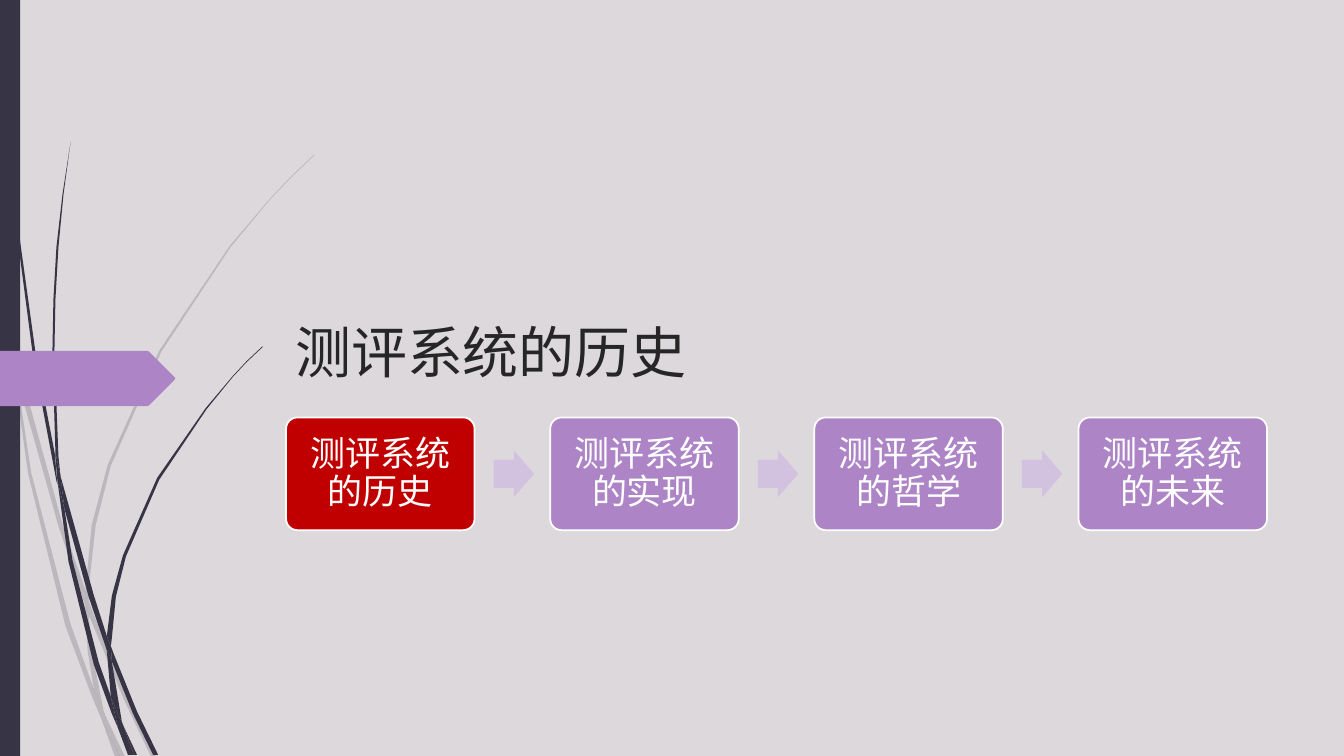
import pptx
import pptx.dml.color
import pptx.enum.lang
import pptx.enum.shapes
import pptx.enum.text
import pptx.oxml
import pptx.oxml.ns
import pptx.util

Cm, Pt = pptx.util.Cm, pptx.util.Pt
SHAPE = pptx.enum.shapes.MSO_SHAPE
ANCHOR = pptx.enum.text.MSO_ANCHOR
ALIGN = pptx.enum.text.PP_ALIGN
FONT = "TeX Gyre Adventor"
DARK, PURPLE, PALE, RED, WHITE = "373545", "AD84C6", "D3C2DF", "C00000", "FFFFFF"
CM_PER_INCH = 2.54

# Corner points of each outline, in inches
PALE_STRANDS = [
    "0.11,3.5 0.09,3.22 0,2.82 0,2.99 0.1,3.44",
    "0.58,5.22 0.84,5.99 0.85,5.86 0.62,5.2 0.14,3.45 0.17,3.76",
    "0.92,6.07 0.88,5.96 0.88,6.1 1.23,6.94 1.5,7.51 1.55,7.51 1.27,6.92",
    "1.19,7.51 1.24,7.51 1.05,7.11",
    "0.93,6.83 0.7,6.19 0.31,4.69 0.17,3.76 0.11,3.5 0.28,4.7 0.65,6.21 0.92,6.93 1.01,7.14"
    " 0.99,7.07",
    "0.84,5.99 0.87,6.46 0.93,6.83 0.96,6.92 1.05,7.11 1.03,7.06 0.91,6.46 0.88,6.1 0.88,6.08",
    "0.88,5.84 0.95,5.21 1.1,4.62 1.6,3.49 2.29,2.45 2.68,1.98 2.9,1.75 3.12,1.54 3.12,1.53"
    " 2.89,1.75 2.68,1.97 2.28,2.44 1.58,3.48 1.07,4.61 0.91,5.21 0.85,5.84 0.85,5.86 0.88,5.96",
    "1.01,7.14 1.14,7.51 1.19,7.51",
    "0.88,6.08 0.88,6.1 0.88,5.96 0.85,5.86 0.84,5.99",
    "0.96,6.92 0.93,6.83 0.99,7.07 1.01,7.14 1.19,7.51 1.05,7.11",
]
DARK_STRANDS = [
    "0.07,1.1 0.17,2.33 0.33,3.55 0.56,4.77 0.57,4.81 0.55,4.57 0.55,4.53 0.36,3.55 0.19,2.32"
    " 0.08,1.09 0.05,0.48 0.04,0 0.03,0 0.04,0.48",
    "0.88,5.92 1.06,6.45 1.06,6.31 0.93,5.9 0.6,4.72 0.64,5.05",
    "1.13,6.49 1.1,6.41 1.11,6.56 1.32,7.08 1.52,7.49 1.57,7.49 1.36,7.06",
    "1.1,6.91 0.98,6.57 0.72,5.56 0.64,5.05 0.57,4.77 0.68,5.57 0.93,6.59 1.11,7.08 1.17,7.22"
    " 1.16,7.17",
    "0.6,4.72 0.58,4.53 0.54,3.49 0.55,2.97 0.58,2.45 0.63,1.93 0.7,1.41 0.62,1.93 0.56,2.45"
    " 0.53,2.97 0.52,3.49 0.55,4.49",
    "1.33,7.49 1.36,7.49 1.22,7.19",
    "0.57,4.77 0.64,5.05 0.6,4.72 0.55,4.49 0.55,4.53",
    "1.11,6.33 1.15,5.92 1.25,5.52 1.58,4.76 2.05,4.06 2.31,3.74 2.45,3.59 2.61,3.44 2.6,3.44"
    " 2.45,3.58 2.31,3.73 2.04,4.05 1.56,4.74 1.22,5.51 1.11,5.91 1.06,6.31 1.1,6.41",
    "1.17,7.22 1.27,7.49 1.31,7.49",
    "1.06,6.45 1.1,6.91 1.16,7.06 1.22,7.19 1.21,7.16 1.11,6.56 1.09,6.51",
    "1.06,6.45 1.09,6.51 1.11,6.56 1.1,6.41 1.06,6.31",
    "1.16,7.06 1.1,6.91 1.16,7.17 1.17,7.22 1.3,7.49 1.33,7.49 1.22,7.19",
]
MARKER = "1.73,3.77 1.48,4.02 1.46,4.03 0,4.03 0,3.48 1.46,3.48 1.48,3.49 1.73,3.74 1.74,3.75"


def color(value):
    return pptx.dml.color.RGBColor.from_string(value)


def paint(shape, fill, opacity=100):
    shape.shadow.inherit = False
    shape.fill.solid()
    shape.fill.fore_color.rgb = color(fill)
    shape.line.fill.background()
    if opacity < 100:
        tint = shape.fill._xPr.find(".//" + pptx.oxml.ns.qn("a:srgbClr"))
        tint.append(pptx.oxml.parse_xml(
            f'<a:alpha {pptx.oxml.ns.nsdecls("a")} val="{opacity * 1000}"/>'))


def add_outline(shapes, left, top, outline, fill, opacity=100):
    pairs = [point.split(",") for point in outline.split()]
    points = [(left + Cm(float(x) * CM_PER_INCH), top + Cm(float(y) * CM_PER_INCH))
              for x, y in pairs]
    builder = shapes.build_freeform(*points[0])
    builder.add_line_segments(points[1:], close=True)
    paint(builder.convert_to_shape(), fill, opacity)


def write(box, text, size, fill, anchor, align):
    frame = box.text_frame
    frame.word_wrap = True
    frame.vertical_anchor = anchor
    para = frame.paragraphs[0]
    para.alignment = align
    span = para.add_run()
    span.text = text
    span.font.name, span.font.size = FONT, Pt(size)
    span.font.color.rgb = color(fill)
    span.font.language_id = pptx.enum.lang.MSO_LANGUAGE_ID.SIMPLIFIED_CHINESE
    return para


def add_decoration(page, left, top, height):
    # Two bundles of grass strands
    for strands, opacity in ((PALE_STRANDS, 20), (DARK_STRANDS, 100)):
        bundle = page.shapes.add_group_shape()
        for outline in strands:
            add_outline(bundle.shapes, left, top, outline, DARK, opacity)
    # Edge bar and pointed marker
    paint(page.shapes.add_shape(SHAPE.RECTANGLE, left, top, Cm(0.51), height), DARK)
    add_outline(page.shapes, left, top, MARKER, PURPLE)


def add_title(page, left, top, width, height, text):
    box = page.shapes.add_textbox(left, top, width, height)
    write(box, text, 40, "262626", ANCHOR.BOTTOM, ALIGN.LEFT)


def add_steps(page, left, top, width, height, labels, current):
    node_width, arrow_width, arrow_height = Cm(4.75), Cm(1.02), Cm(1.18)
    pitch = (width - node_width) // (len(labels) - 1)
    shapes = page.shapes.add_group_shape().shapes
    for index, label in enumerate(labels):
        x = left + index * pitch
        # Arrow from the step before
        if index:
            arrow = shapes.add_shape(SHAPE.RIGHT_ARROW, x - pitch + node_width + Cm(0.48),
                                     top + (height - arrow_height) // 2, arrow_width, arrow_height)
            arrow.adjustments[0] = 0.6
            paint(arrow, PALE)
        # Step
        node = shapes.add_shape(SHAPE.ROUNDED_RECTANGLE, x, top, node_width, height)
        node.adjustments[0] = 0.1
        paint(node, RED if label == current else PURPLE)
        node.line.color.rgb, node.line.width = color(WHITE), Pt(1.25)
        write(node, label, 25, WHITE, ANCHOR.MIDDLE, ALIGN.CENTER).line_spacing = 0.9


def main():
    deck = pptx.Presentation()
    deck.slide_width, deck.slide_height = Cm(33.87), Cm(19.05)
    page = deck.slides.add_slide(deck.slide_layouts[6])
    page.background.fill.solid()
    page.background.fill.fore_color.rgb = color("DCD8DC")
    labels = ["测评系统的" + topic for topic in ("历史", "实现", "哲学", "未来")]
    add_decoration(page, 0, 0, deck.slide_height)
    add_title(page, Cm(7.19), Cm(5.72), Cm(24.77), Cm(4.09), labels[0])
    add_steps(page, Cm(7.21), Cm(10.52), Cm(24.72), Cm(2.84), labels, labels[0])
    deck.save("out.pptx")


if __name__ == "__main__":
    main()
